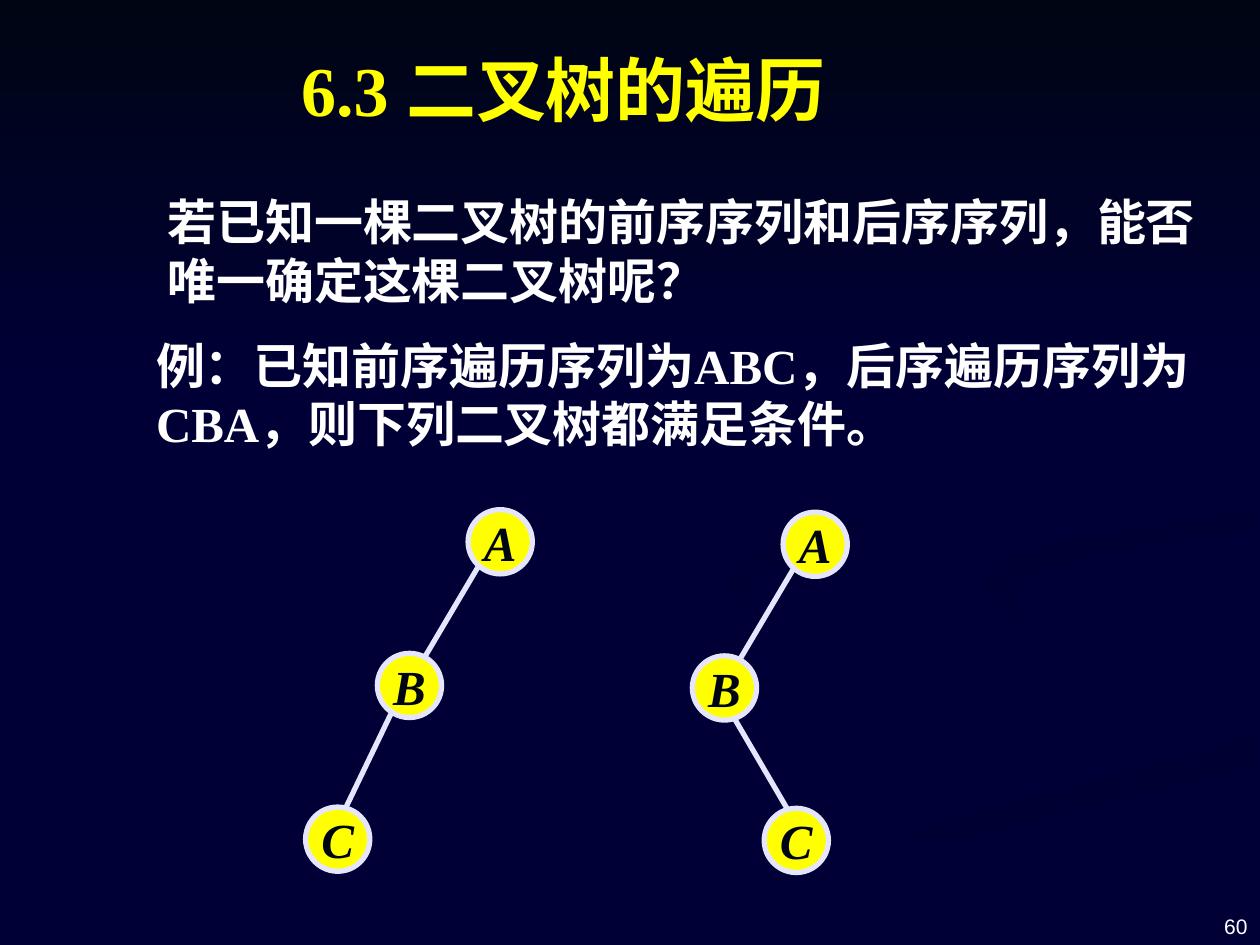
from lxml.etree import SubElement
from pptx import Presentation
from pptx.dml.color import RGBColor
from pptx.enum.shapes import MSO_CONNECTOR, MSO_SHAPE
from pptx.enum.text import MSO_ANCHOR, PP_ALIGN
from pptx.oxml.ns import qn
from pptx.util import Inches, Pt

THEME = {
    "back": "000036", "dark": "000514", "text": "FFFFFF",
    "node": "FFFF00", "line": "E5E5FF", "ink": "000514",
    "serif": "Times New Roman", "sans": "Arial", "cjk": "Noto Sans CJK SC",
    "title": 40, "body": 28, "small": 12, "stroke": 3,
}

TITLE = ("6.3 二叉树的遍历", (2.29, 0.32, 6.38, 0.77))
BODY = [
    ("若已知一棵二叉树的前序序列和后序序列，能否唯一确定这棵二叉树呢？",
     (1.23, 1.47, 8.42, 1.03), "cjk"),
    ("例：已知前序遍历序列为ABC，后序遍历序列为CBA，则下列二叉树都满足条件。",
     (1.14, 2.61, 8.53, 1.03), "serif"),
]
PAGE = ("60", (7.67, 6.98, 2.33, 0.52))

# Trees: node centres by letter, then the two ends of each edge
SIZE = 0.51
TREES = [
    ({"A": (3.97, 4.3), "B": (3.25, 5.44), "C": (2.68, 6.66)},
     [(3.8, 4.49, 3.35, 5.25), (3.11, 5.65, 2.74, 6.42)]),
    ({"A": (6.47, 4.32), "B": (5.75, 5.46), "C": (6.32, 6.67)},
     [(6.3, 4.51, 5.85, 5.27), (5.81, 5.67, 6.26, 6.44)]),
]

# Background: start colour, end colour, angle, outline
WAVES = [
    ("000036", "000034", 0, [
        (7.81, 5.53), (7.45, 5.38), (6.82, 5.19), (6.26, 5.02), (5.87, 4.81),
        (5.75, 4.59), (5.7, 4.72), (5.93, 4.91), (6.54, 5.13), (7.28, 5.35),
        (7.76, 5.53), (7.86, 5.66), (7.67, 5.87), (7.14, 6.05), (6.16, 6.29),
        (4.99, 6.61), (3.76, 7.07), (3, 7.49), (3.61, 7.49), (4.66, 7),
        (5.64, 6.65), (6.76, 6.34), (7.56, 6.14), (7.91, 5.97), (8, 5.81)]),
    ("000036", "000034", 45, [
        (9.43, 5.7), (9.3, 5.53), (8.88, 5.35), (8.11, 5.15), (7.58, 4.98),
        (7.33, 4.83), (7.24, 4.64), (7.3, 4.84), (7.55, 5.05), (8.15, 5.3),
        (8.8, 5.49), (9.11, 5.67), (9.18, 5.81), (8.94, 6.05), (9.32, 5.89)]),
    ("000032", "000036", 90, [
        (5.03, 7.49), (5.71, 7.49), (6.14, 7.26), (6.95, 6.92), (7.85, 6.61),
        (9.03, 6.3), (9.98, 6.09), (9.98, 5.81), (9.5, 5.98), (8.31, 6.29),
        (7.64, 6.47), (6.62, 6.81), (5.69, 7.19), (5.19, 7.47)]),
    ("000033", "000036", 45, [
        (7.81, 4.6), (7.86, 4.74), (8.06, 4.87), (8.26, 4.96), (8.09, 4.84),
        (8.06, 4.68), (8.28, 4.53), (8.78, 4.39), (9.36, 4.29), (9.98, 4.2),
        (9.98, 4.02), (9.33, 4.15), (8.49, 4.27), (7.99, 4.42)]),
    ("000032", "000036", 45, [
        (6.83, 4.3), (7.64, 4.17), (8.25, 4.02), (8.67, 3.84), (8.89, 3.62),
        (8.93, 3.35), (8.8, 3.07), (8.43, 2.75), (7.99, 2.5), (7.62, 2.33),
        (8.26, 2.66), (8.7, 2.99), (8.89, 3.35), (8.7, 3.65), (8.18, 3.86),
        (7.33, 4.04), (6.49, 4.2), (5.97, 4.37), (5.77, 4.62), (5.9, 4.84),
        (6.22, 5), (6.01, 4.85), (5.93, 4.7), (6.06, 4.52), (6.35, 4.4)]),
    (THEME["dark"], THEME["back"], 90, [(0, 0), (0, 3.08), (10, 3.08), (10, 0)]),
]


def color(name):
    return RGBColor.from_string(THEME[name])


def box(at):
    return [Inches(v) for v in at]


def write(shape, text, face, size, tint, align=PP_ALIGN.LEFT,
          anchor=MSO_ANCHOR.TOP, bold=True, italic=False, wrap=True):
    frame = shape.text_frame
    frame.word_wrap = wrap
    frame.vertical_anchor = anchor
    para = frame.paragraphs[0]
    para.text = text
    para.alignment = align
    font = para.font
    font.name, font.size = THEME[face], Pt(THEME[size])
    font.bold, font.italic = bold, italic
    font.color.rgb = color(tint)
    # East Asian face
    props = para._p.pPr.find(qn("a:defRPr"))
    SubElement(props, qn("a:ea")).set("typeface", THEME["cjk"])


def wave(slide, start, end, angle, points):
    pen = slide.shapes.build_freeform(*box(points[0]))
    pen.add_line_segments([box(p) for p in points[1:]], close=True)
    shape = pen.convert_to_shape()
    shape.shadow.inherit = False
    shape.line.fill.background()
    shape.fill.gradient()
    shape.fill.gradient_angle = -angle % 360
    for stop, tint, pos in zip(shape.fill.gradient_stops, (start, end), (0, 1)):
        stop.color.rgb = RGBColor.from_string(tint)
        stop.position = pos


def edge(slide, ends):
    line = slide.shapes.add_connector(MSO_CONNECTOR.STRAIGHT, *box(ends))
    line.line.color.rgb = color("line")
    line.line.width = Pt(THEME["stroke"])
    SubElement(line._element.spPr, qn("a:effectLst"))


def node(slide, name, x, y):
    half = SIZE / 2
    dot = slide.shapes.add_shape(
        MSO_SHAPE.OVAL, *box((x - half, y - half, SIZE, SIZE)))
    dot.shadow.inherit = False
    dot.fill.solid()
    dot.fill.fore_color.rgb = color("node")
    dot.line.color.rgb = color("line")
    dot.line.width = Pt(THEME["stroke"])
    frame = dot.text_frame
    frame.margin_left = frame.margin_right = 0
    frame.margin_top = frame.margin_bottom = 0
    write(dot, name, "serif", "body", "ink", PP_ALIGN.CENTER,
          MSO_ANCHOR.MIDDLE, italic=True, wrap=False)


def main():
    deck = Presentation()
    deck.slide_width, deck.slide_height = Inches(10), Inches(7.5)
    slide = deck.slides.add_slide(deck.slide_layouts[5])
    slide.background.fill.solid()
    slide.background.fill.fore_color.rgb = color("back")

    # Background waves and top shade
    for item in WAVES:
        wave(slide, *item)

    # Title, moved above the background
    title = slide.shapes.title
    slide.shapes._spTree.append(title._element)
    title.left, title.top, title.width, title.height = box(TITLE[1])
    write(title, TITLE[0], "serif", "title", "node", PP_ALIGN.JUSTIFY)

    # Question, example and page number
    for text, at, face in BODY:
        write(slide.shapes.add_textbox(*box(at)), text, face, "body", "text")
    write(slide.shapes.add_textbox(*box(PAGE[1])), PAGE[0], "sans", "small",
          "text", PP_ALIGN.RIGHT, MSO_ANCHOR.BOTTOM, bold=False)

    # Binary trees
    for nodes, edges in TREES:
        for ends in edges:
            edge(slide, ends)
        for name, (x, y) in nodes.items():
            node(slide, name, x, y)

    deck.save("out.pptx")


if __name__ == "__main__":
    main()
